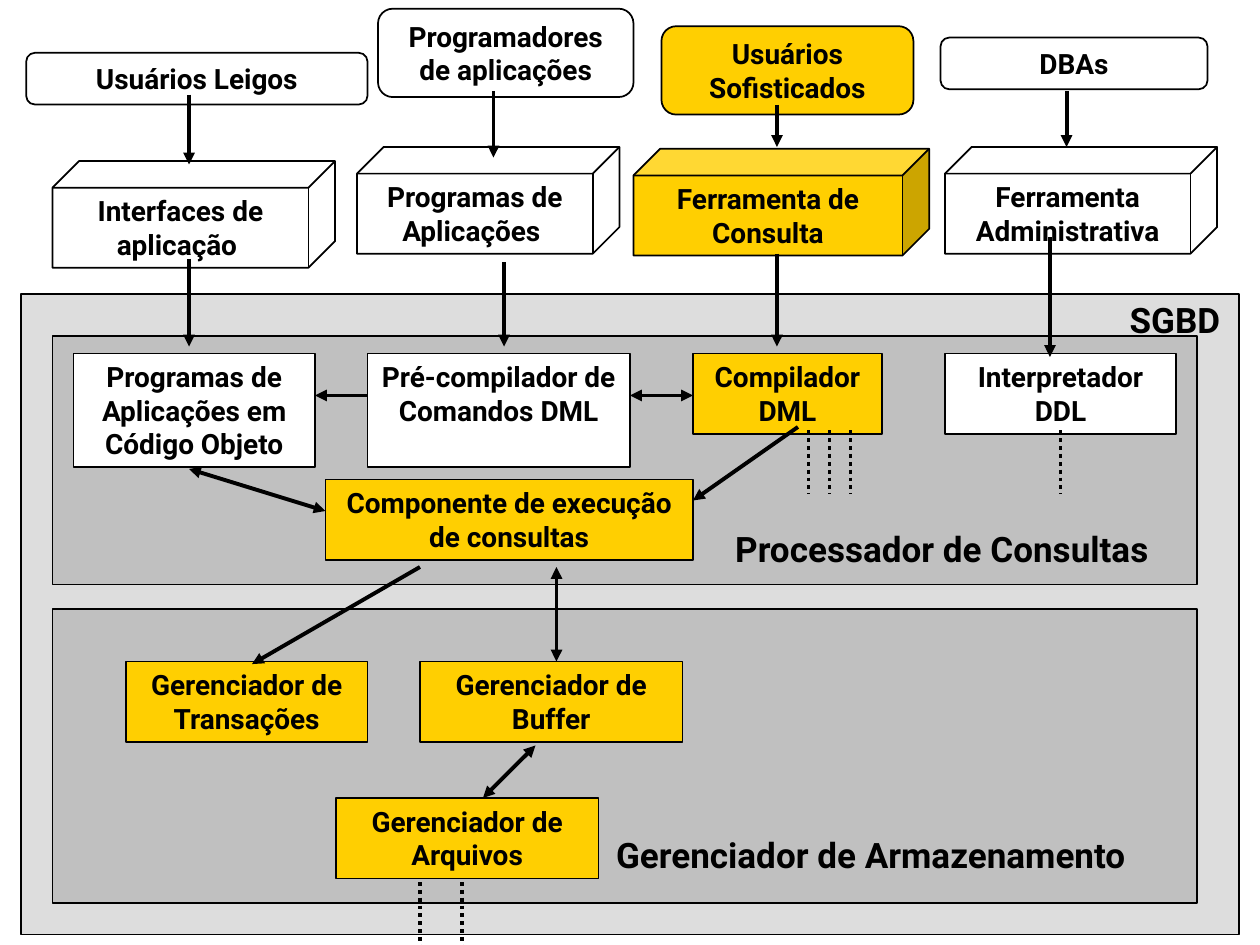
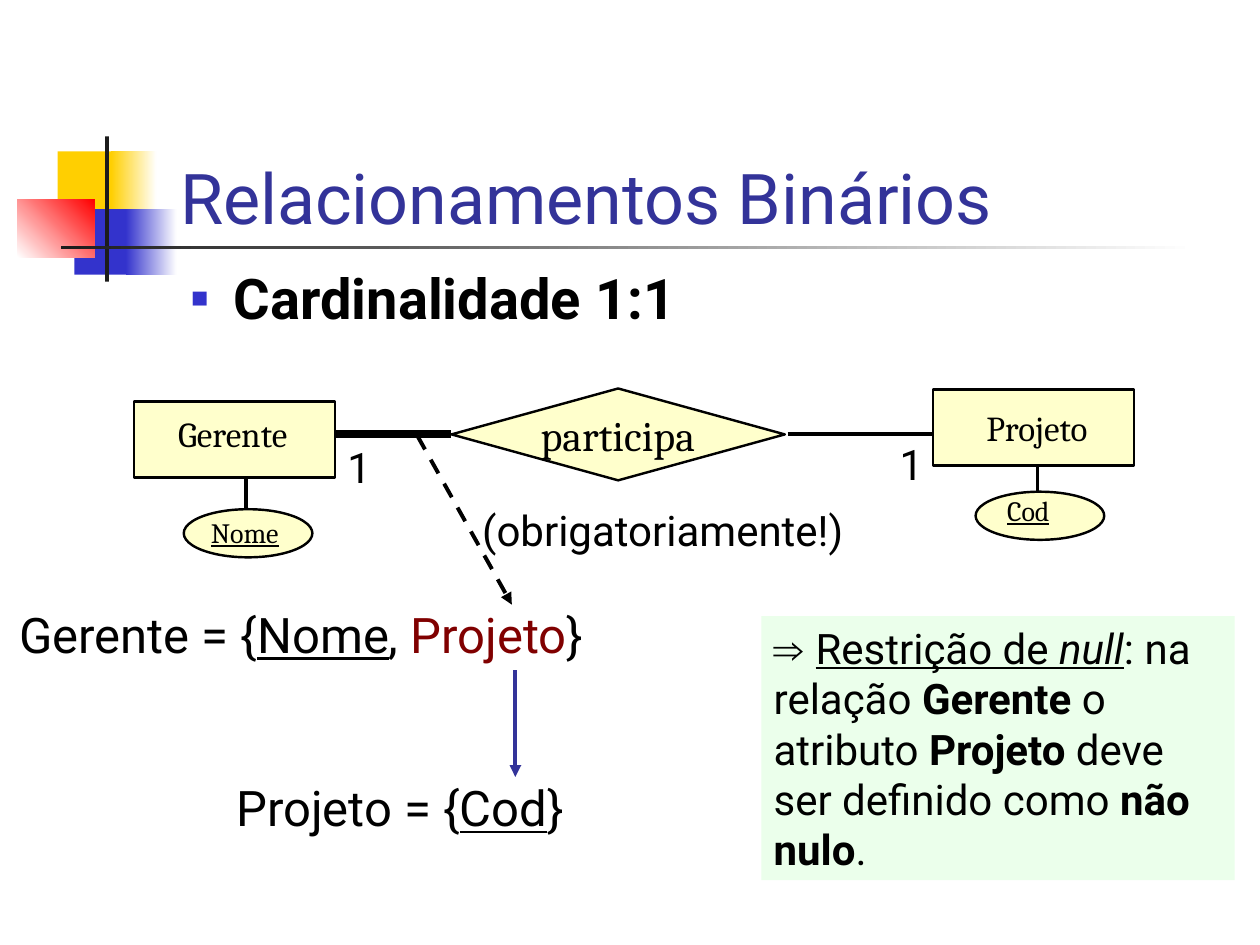
import pptx
import pptx.dml.color
import pptx.enum.dml
import pptx.enum.shapes
import pptx.enum.text
import pptx.oxml.xmlchemy
import pptx.util
from lxml import etree

Pt = pptx.util.Pt
RGB = pptx.dml.color.RGBColor
FORM = pptx.enum.shapes.MSO_SHAPE
DASH = pptx.enum.dml.MSO_LINE
ALIGN = pptx.enum.text.PP_ALIGN
ANCHOR = pptx.enum.text.MSO_ANCHOR

BLACK = RGB(0x00, 0x00, 0x00)
WHITE = RGB(0xFF, 0xFF, 0xFF)
PALE = RGB(0xDD, 0xDD, 0xDD)
GREY = RGB(0xC0, 0xC0, 0xC0)
GOLD = RGB(0xFF, 0xCF, 0x01)
BLUE = RGB(0x33, 0x33, 0xCC)
NAVY = RGB(0x33, 0x33, 0x99)
RED = RGB(0xFF, 0x00, 0x00)
WINE = RGB(0x80, 0x00, 0x00)
COAL = RGB(0x1C, 0x1C, 0x1C)
CREAM = RGB(0xFF, 0xFF, 0xCC)
MINT = RGB(0xEB, 0xFF, 0xEB)

SANS = "Roboto"
SERIF = "Cambria"
SIGN = "Arial"
NS = "http://schemas.openxmlformats.org/drawingml/2006/main"


def tag(parent, name, **attrs):
    return etree.SubElement(parent, f"{{{NS}}}{name}", **attrs)


def dress(run, size, font=SANS, color=BLACK, marks=""):
    run.font.size = Pt(size)
    run.font.name = font
    run.font.color.rgb = color
    run.font.bold = "b" in marks
    run.font.italic = "i" in marks
    run.font.underline = "u" in marks


def write(frame, text, size, align=ALIGN.LEFT, **style):
    frame.word_wrap = True
    frame.vertical_anchor = ANCHOR.TOP
    frame.text = text
    para = frame.paragraphs[0]
    para.alignment = align
    dress(para.runs[0], size, **style)
    return para


def blend(frame, size, parts):
    (text, style), *rest = parts
    para = write(frame, text, size, **style)
    for text, style in rest:
        run = para.add_run()
        run.text = text
        dress(run, size, **style)


def strip(frame):
    frame.margin_left = frame.margin_right = 0
    frame.margin_top = frame.margin_bottom = 0


def label(slide, box, inset=True):
    frame = slide.shapes.add_textbox(*map(Pt, box)).text_frame
    if not inset:
        strip(frame)
    return frame


def block(slide, form, box, fill=None, line=1):
    shape = slide.shapes.add_shape(form, *map(Pt, box))
    shape.shadow.inherit = False
    if fill is None:
        shape.fill.background()
    else:
        shape.fill.solid()
        shape.fill.fore_color.rgb = fill
    if line:
        shape.line.color.rgb = BLACK
        shape.line.width = Pt(line)
    else:
        shape.line.fill.background()
    return shape


def fade(slide, box, start, end, angle=0):
    shape = block(slide, FORM.RECTANGLE, box, line=0)
    shape.fill.gradient()
    shape.fill.gradient_angle = angle
    for stop, color in zip(shape.fill.gradient_stops, (start, end)):
        stop.color.rgb = color


def link(slide, ends, heads="", width=2.25, dash=None, color=BLACK):
    kind = pptx.enum.shapes.MSO_CONNECTOR.STRAIGHT
    wire = slide.shapes.add_connector(kind, *map(Pt, ends))
    wire.line.color.rgb = color
    wire.line.width = Pt(width)
    if dash:
        wire.line.dash_style = dash
    outline = wire.line._get_or_add_ln()
    if "<" in heads:
        tag(outline, "headEnd", type="triangle")
    if ">" in heads:
        tag(outline, "tailEnd", type="triangle")
    tag(wire._element.spPr, "effectLst")


def motif(slide):
    block(slide, FORM.RECTANGLE, (33, 86.5, 34.5, 37.5), GOLD, 0)
    fade(slide, (63.5, 86.5, 26, 37.5), GOLD, WHITE)
    block(slide, FORM.RECTANGLE, (42.5, 119.5, 33, 37.5), BLUE, 0)
    fade(slide, (72, 119.5, 29, 37.5), BLUE, WHITE)
    fade(slide, (10, 114, 44, 33), WHITE, RED, 45)
    block(slide, FORM.RECTANGLE, (60, 78, 2.3, 83), COAL, 0)
    fade(slide, (35, 140.3, 648, 2.3), COAL, WHITE)


def head(slide, text):
    title = slide.shapes.title
    title.left, title.top, title.width, title.height = map(Pt, (103, 88.5, 508, 48))
    strip(title.text_frame)
    write(title.text_frame, text, 40, color=NAVY)
    title.text_frame.vertical_anchor = ANCHOR.BOTTOM


def bullet(slide, box, text):
    frame = label(slide, box)
    frame.text = text
    para = frame.paragraphs[0]
    props = para._p.get_or_add_pPr()
    props.set("marL", str(Pt(25)))
    props.set("indent", str(Pt(-25)))
    tint = tag(props, "buClr")
    tag(tint, "srgbClr", val=str(BLUE))
    tag(props, "buFont", typeface=SIGN)
    tag(props, "buChar", char="▪")
    dress(para.runs[0], 32, marks="b")


def system(deck):
    slide = deck.slides.add_slide(deck.slide_layouts[6])
    block(slide, FORM.RECTANGLE, (12, 168, 696, 366), PALE, 0.75)
    for top, height in ((192, 142), (348, 168)):
        block(slide, FORM.RECTANGLE, (30, top, 654, height), GREY)

    users = [
        ("Usuários Leigos", (15, 30.2, 195, 29.5), None),
        ("Programadores de aplicações", (216, 5, 146, 50.5), None),
        ("Usuários Sofisticados", (378, 15, 144, 50.5), GOLD),
        ("DBAs", (537.5, 21.5, 152.5, 29.5), None),
    ]
    tools = [
        ("Interfaces de aplicação ", (30, 92, 161.5, 61), None),
        ("Programas de Aplicações ", (204, 84, 150, 61), None),
        ("Ferramenta de Consulta", (362, 85, 169, 61), GOLD),
        ("Ferramenta Administrativa", (540, 84, 155.5, 61), None),
    ]
    parts = [
        ("Programas de Aplicações em Código Objeto", (42, 202, 138, 65), WHITE),
        ("Pré-compilador de Comandos DML", (210, 202, 150, 65), WHITE),
        ("Compilador DML", (396, 202, 108, 46), GOLD),
        ("Interpretador DDL", (540, 202, 132, 46), WHITE),
        ("Componente de execução de consultas", (186, 274, 210, 46), GOLD),
        ("Gerenciador de Transações", (72, 378, 138, 46), GOLD),
        ("Gerenciador de Buffer", (240, 378, 150, 46), GOLD),
        ("Gerenciador de Arquivos", (192, 456, 150, 46), GOLD),
    ]
    groups = (
        (FORM.ROUNDED_RECTANGLE, users),
        (FORM.CUBE, tools),
        (FORM.RECTANGLE, parts),
    )
    for form, items in groups:
        for text, box, fill in items:
            shape = block(slide, form, box, fill)
            write(shape.text_frame, text, 16, ALIGN.CENTER, marks="b")

    for text, box in (
        ("Gerenciador de Armazenamento", (345, 473, 340, 32)),
        ("Processador de Consultas", (413, 298, 270, 32)),
        ("SGBD", (638.5, 167, 72, 32)),
    ):
        write(label(slide, box), text, 20, marks="b")

    for x, top, end in (
        (108, 54, 94), (282, 52, 90), (444, 60, 84), (609.5, 52, 84),
        (108, 148, 198), (288, 150, 198), (444, 145, 198), (600, 135.5, 204),
    ):
        link(slide, (x, top, x, end), ">")
    for ends, heads in (
        ((210, 226, 180, 226), ">"),
        ((360, 226, 396, 226), "<>"),
        ((108, 268, 186, 292), "<>"),
        ((456, 244, 396, 286), ">"),
        ((240, 324, 144, 379.5), ">"),
        ((318, 324, 318, 378), "<>"),
        ((306, 426, 276, 456), "<>"),
    ):
        link(slide, ends, heads)
    for top, length, row in ((504, 36, (240, 264)), (246, 36, (462, 474, 486, 606))):
        for x in row:
            link(slide, (x, top, x, top + length), dash=DASH.ROUND_DOT)


def binary(deck):
    slide = deck.slides.add_slide(deck.slide_layouts[5])
    motif(slide)
    head(slide, "Relacionamentos Binários")
    bullet(slide, (101.5, 147, 340, 46), "Cardinalidade 1:1")

    for ends, width in (
        ((140.5, 273, 140.5, 292), 2),
        ((593, 265, 593, 282), 2),
        ((192, 248, 258, 248), 5),
        ((450, 248, 534, 248), 2),
    ):
        link(slide, ends, width=width)
    for form, box in (
        (FORM.RECTANGLE, (76.5, 229.5, 115, 43.5)),
        (FORM.RECTANGLE, (533, 222.5, 115, 43.5)),
        (FORM.DIAMOND, (258, 222, 190.5, 52.5)),
        (FORM.OVAL, (105, 291, 73.5, 27.5)),
        (FORM.OVAL, (557.5, 281, 73.5, 27.5)),
    ):
        block(slide, form, box, CREAM, 1.39)
    for text, box, size, align, marks in (
        ("Gerente", (79, 235.5, 108, 24), 20, ALIGN.CENTER, ""),
        ("Projeto", (539.5, 232.5, 106, 24), 20, ALIGN.CENTER, ""),
        ("participa", (292.5, 234, 121, 29), 24, ALIGN.CENTER, ""),
        ("Nome", (120.5, 294.5, 52.5, 19.5), 16, ALIGN.LEFT, "u"),
        ("Cod", (575.5, 282, 47.5, 19.5), 16, ALIGN.LEFT, "u"),
    ):
        write(label(slide, box, False), text, size, align, font=SERIF, marks=marks)
    for text, box in (
        ("1", (191.5, 249, 30, 36)),
        ("1", (507, 247, 30, 36)),
        ("(obrigatoriamente!)", (268.5, 284.5, 235, 36)),
    ):
        write(label(slide, box), text, 24)

    key = {"marks": "u"}
    bold = {"marks": "b"}
    blend(label(slide, (11, 345.5, 491, 34), False), 28, [
        ("Gerente = {", {}), ("Nome", key), (", ", {}),
        ("Projeto", {"color": WINE}), ("}", {}),
    ])
    blend(label(slide, (135, 444.5, 318, 34), False), 28, [
        ("Projeto = {", {}), ("Cod", key), ("}", {}),
    ])
    link(slide, (294.5, 383, 294.5, 444), ">", color=NAVY)
    link(slide, (238.5, 249, 292.5, 345.5), ">", dash=DASH.DASH)

    note = block(slide, FORM.RECTANGLE, (435, 352, 270.5, 151), MINT, 0)
    blend(note.text_frame, 24, [
        ("⇒ ", {"font": SIGN}), ("Restrição de ", key), ("null", {"marks": "iu"}),
        (": na relação ", {}), ("Gerente ", bold), ("o atributo ", {}),
        ("Projeto", bold), (" deve ser definido como ", {}),
        ("não nulo", bold), (".", {}),
    ])


def main():
    deck = pptx.Presentation()
    deck.slide_width, deck.slide_height = Pt(720), Pt(540)
    system(deck)
    binary(deck)
    deck.save("out.pptx")


if __name__ == "__main__":
    main()
